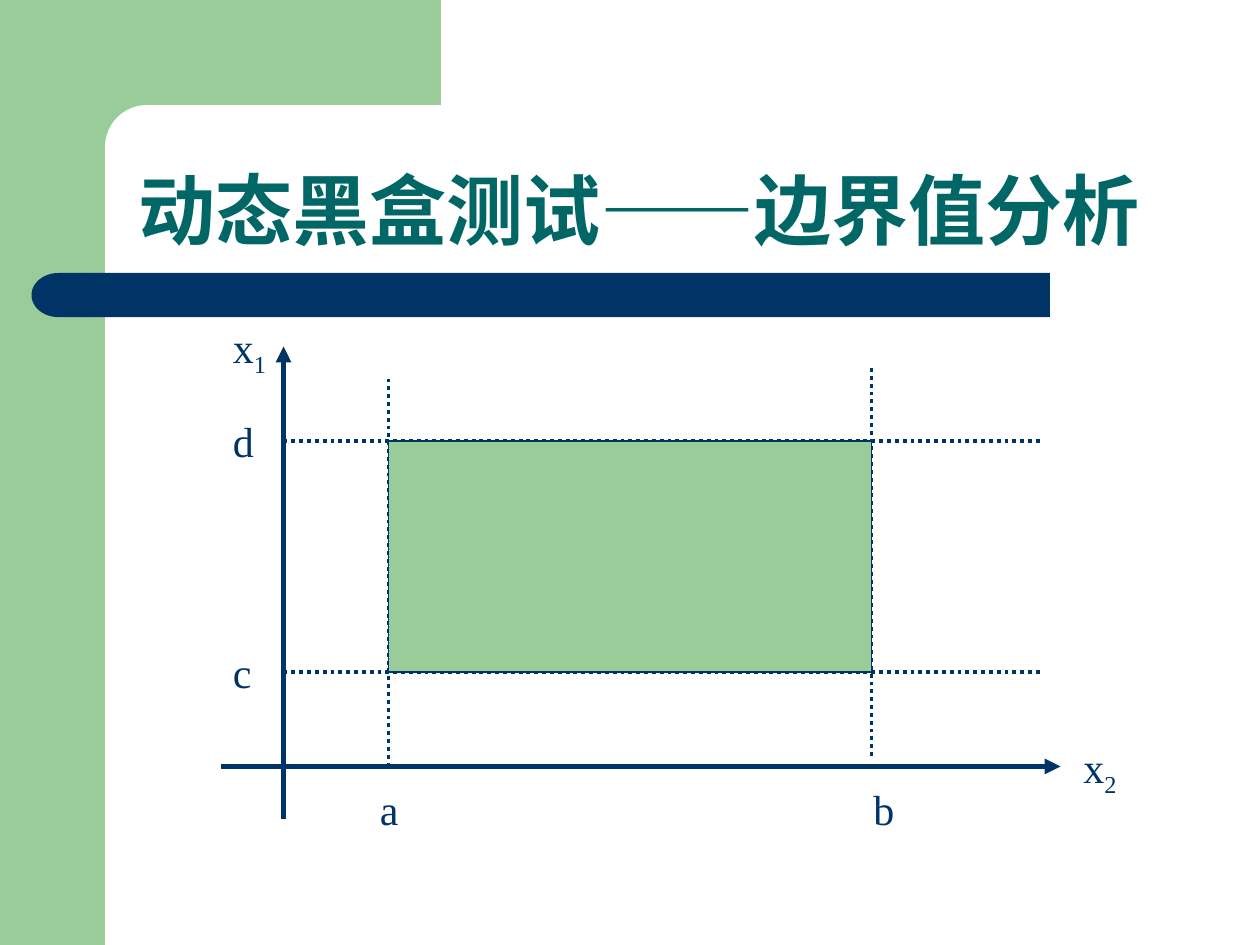
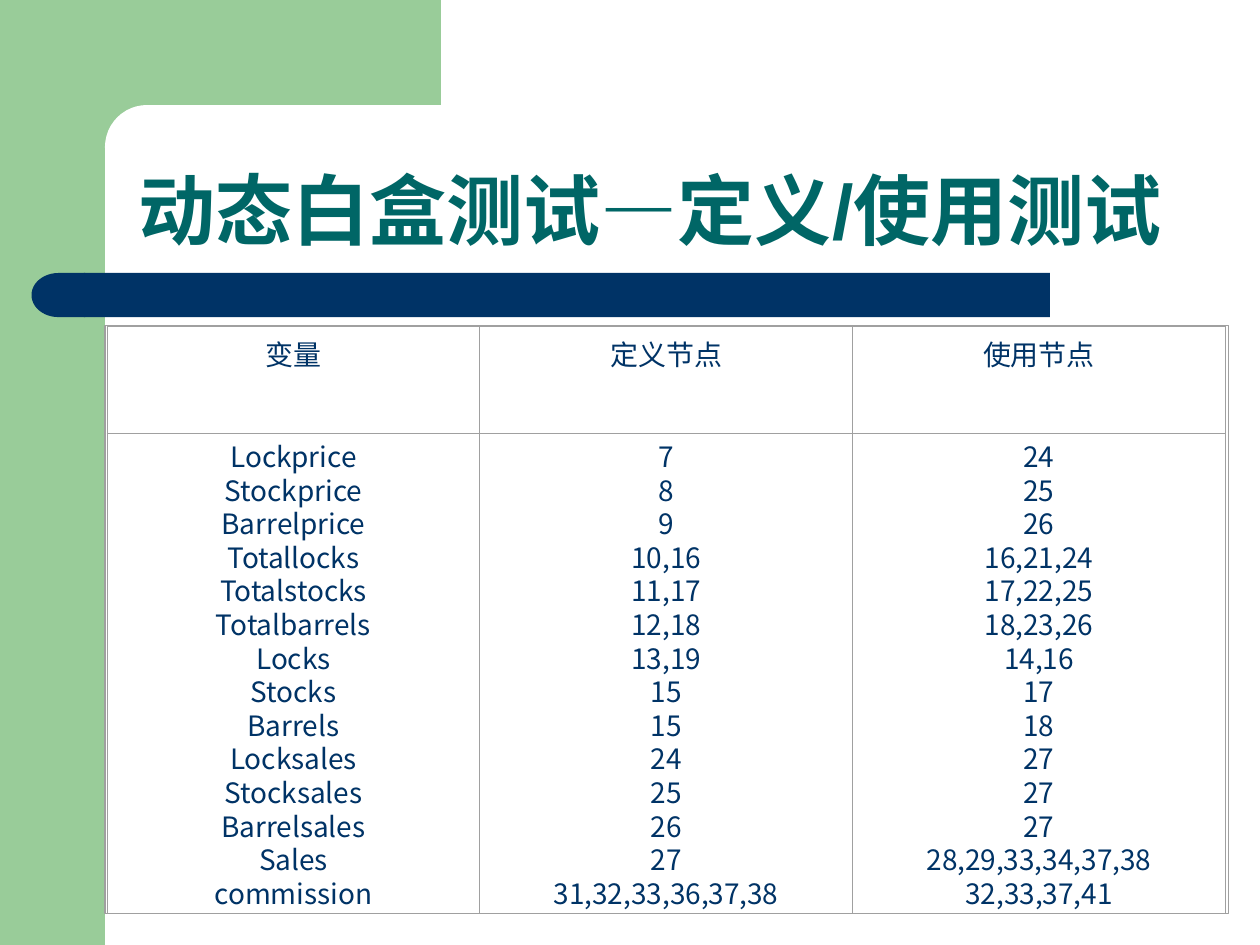
from dataclasses import dataclass

from lxml.etree import SubElement
from pptx import Presentation
from pptx.dml.color import RGBColor
from pptx.enum.dml import MSO_LINE
from pptx.enum.shapes import MSO_CONNECTOR, MSO_SHAPE as SHAPE
from pptx.enum.text import MSO_ANCHOR as ANCHOR, PP_ALIGN as ALIGN
from pptx.oxml.ns import qn
from pptx.util import Emu, Pt

PX = 7620  # EMU per px, 120 px to the inch
WIDTH, HEIGHT = 1200, 900


@dataclass(frozen=True)
class Theme:
    green: str = "99CC99"
    navy: str = "003366"
    teal: str = "006666"
    white: str = "FFFFFF"
    grey: str = "A0A0A0"
    title_font: str = "Arial"
    label_font: str = "Times New Roman"
    asian_font: str = "Noto Sans CJK SC"
    title_size: int = 44
    label_size: int = 24
    table_size: int = 16
    table_leading: float = 19.2
    axis_width: float = 3
    dotted_width: float = 2.25
    outline_width: float = 0.75
    border_width: float = 0.5


def px(*lengths):
    return [Emu(length * PX) for length in lengths]


class Deck:
    def __init__(self, theme):
        self.theme = theme
        self.presentation = Presentation()
        self.presentation.slide_width, self.presentation.slide_height = px(WIDTH, HEIGHT)
        self.slide = None

    def new_slide(self, title):
        theme = self.theme
        self.slide = self.presentation.slides.add_slide(self.presentation.slide_layouts[6])
        # Green corner with a rounded white cut-out
        self.box((0, 0, 100, HEIGHT), fill=theme.green)
        self.box((90, 0, 330, 140), fill=theme.green)
        panel = self.box((100, 100, 670, 80), SHAPE.ROUNDED_RECTANGLE, fill=theme.white)
        panel.adjustments[0] = 0.5
        # Navy bar with a round left end
        self.box((80, 260, 920, 42), fill=theme.navy)
        self.box((30, 260, 51, 42), SHAPE.FLOWCHART_DELAY, fill=theme.navy).rotation = 180
        # Title
        paragraph = self.text((120, 100, 1050, 150), title, anchor=ANCHOR.BOTTOM)
        paragraph.line_spacing = 0.9
        self.style(paragraph, theme.title_font, theme.title_size, theme.teal, bold=True)

    def style(self, paragraph, name, size, color, bold=False):
        font = paragraph.font
        font.name, font.size, font.bold = name, Pt(size), bold
        font.color.rgb = RGBColor.from_string(color)
        properties = paragraph._p.pPr.find(qn("a:defRPr"))
        SubElement(properties, qn("a:ea"), typeface=self.theme.asian_font)

    def box(self, place, kind=SHAPE.RECTANGLE, fill=None, outline=None, width=0):
        shape = self.slide.shapes.add_shape(kind, *px(*place))
        shape.shadow.inherit = False
        if fill:
            shape.fill.solid()
            shape.fill.fore_color.rgb = RGBColor.from_string(fill)
        else:
            shape.fill.background()
        if outline:
            shape.line.color.rgb = RGBColor.from_string(outline)
            shape.line.width = Pt(width)
        else:
            shape.line.fill.background()
        return shape

    def text(self, place, text, anchor=ANCHOR.TOP):
        frame = self.slide.shapes.add_textbox(*px(*place)).text_frame
        frame.word_wrap = True
        frame.vertical_anchor = anchor
        paragraph = frame.paragraphs[0]
        paragraph.add_run().text = text
        return paragraph

    def label(self, place, text, subscript=None):
        paragraph = self.text(place, text)
        self.style(paragraph, self.theme.label_font, self.theme.label_size, self.theme.navy)
        if subscript:
            run = paragraph.add_run()
            run.text = subscript
            run._r.get_or_add_rPr().set("baseline", "-25000")

    def line(self, start, end, width):
        connector = self.slide.shapes.add_connector(
            MSO_CONNECTOR.STRAIGHT, *px(*start, *end))
        connector.line.color.rgb = RGBColor.from_string(self.theme.navy)
        connector.line.width = Pt(width)
        SubElement(connector._element.spPr, qn("a:effectLst"))
        return connector

    def axis(self, start, end):
        connector = self.line(start, end, self.theme.axis_width)
        SubElement(connector.line._get_or_add_ln(), qn("a:tailEnd"), type="triangle")

    def dotted(self, start, end):
        self.line(start, end, self.theme.dotted_width).line.dash_style = MSO_LINE.ROUND_DOT

    def border(self, cell):
        properties = cell._tc.get_or_add_tcPr()
        for index, side in enumerate(("a:lnL", "a:lnR", "a:lnT", "a:lnB")):
            line = SubElement(properties, qn(side), w=str(Pt(self.theme.border_width)))
            fill = SubElement(line, qn("a:solidFill"))
            SubElement(fill, qn("a:srgbClr"), val=self.theme.grey)
            properties.insert(index, line)

    def table(self, place, row_heights, headers, columns):
        theme = self.theme
        table = self.slide.shapes.add_table(2, len(headers), *px(*place)).table
        table.first_row = table.horz_banding = False
        for row, height in zip(table.rows, px(*row_heights)):
            row.height = height
        for index, (header, entries) in enumerate(zip(headers, columns)):
            for row, lines in enumerate(([header], entries)):
                cell = table.cell(row, index)
                cell.fill.background()
                self.border(cell)
                cell.text = "\n".join(lines)
                for paragraph in cell.text_frame.paragraphs:
                    paragraph.alignment = ALIGN.CENTER
                    if row:
                        paragraph.line_spacing = Pt(theme.table_leading)
                    self.style(paragraph, theme.asian_font, theme.table_size, theme.navy)
            cell.margin_top, cell.margin_bottom = px(8, 0)


def boundary_values(deck):
    theme = deck.theme
    deck.new_slide("动态黑盒测试——边界值分析")
    a, b, c, d = 370, 830, 640, 420
    origin_x, origin_y = 270, 730
    # Axes
    deck.axis((210, origin_y), (1010, origin_y))
    deck.axis((origin_x, 780), (origin_x, 330))
    # Limits of both variables
    for limit in (c, d):
        deck.dotted((origin_x, limit), (990, limit))
    for limit, bottom in ((a, origin_y), (b, origin_y - 10)):
        deck.dotted((limit, bottom), (limit, bottom - 370))
    # Labels
    for text, left, top in (("a", 350, 740), ("d", 210, 390), ("c", 210, 610), ("b", 820, 740)):
        deck.label((left, top, 40, 60), text)
    deck.label((210, 300, 80, 67), "x", "1")
    deck.label((1020, 700, 70, 67), "x", "2")
    # Valid input area
    deck.box((a, d, b - a, c - d), fill=theme.green, outline=theme.navy,
             width=theme.outline_width)


def define_use(deck):
    deck.new_slide("动态白盒测试—定义/使用测试")
    variables = [
        ("Lockprice", "7", "24"),
        ("Stockprice", "8", "25"),
        ("Barrelprice", "9", "26"),
        ("Totallocks", "10,16", "16,21,24"),
        ("Totalstocks", "11,17", "17,22,25"),
        ("Totalbarrels", "12,18", "18,23,26"),
        ("Locks", "13,19", "14,16"),
        ("Stocks", "15", "17"),
        ("Barrels", "15", "18"),
        ("Locksales", "24", "27"),
        ("Stocksales", "25", "27"),
        ("Barrelsales", "26", "27"),
        ("Sales", "27", "28,29,33,34,37,38"),
        ("commission", "31,32,33,36,37,38", "32,33,37,41"),
    ]
    # One tall row holds all variables
    deck.table((102, 311, 1065, 559), (102, 457),
               ("变量", "定义节点", "使用节点"), zip(*variables))
    # Outer frame
    deck.box((100, 310, 1070, 560), outline=deck.theme.grey, width=deck.theme.outline_width)


def main():
    deck = Deck(Theme())
    boundary_values(deck)
    define_use(deck)
    deck.presentation.save("out.pptx")


if __name__ == "__main__":
    main()
